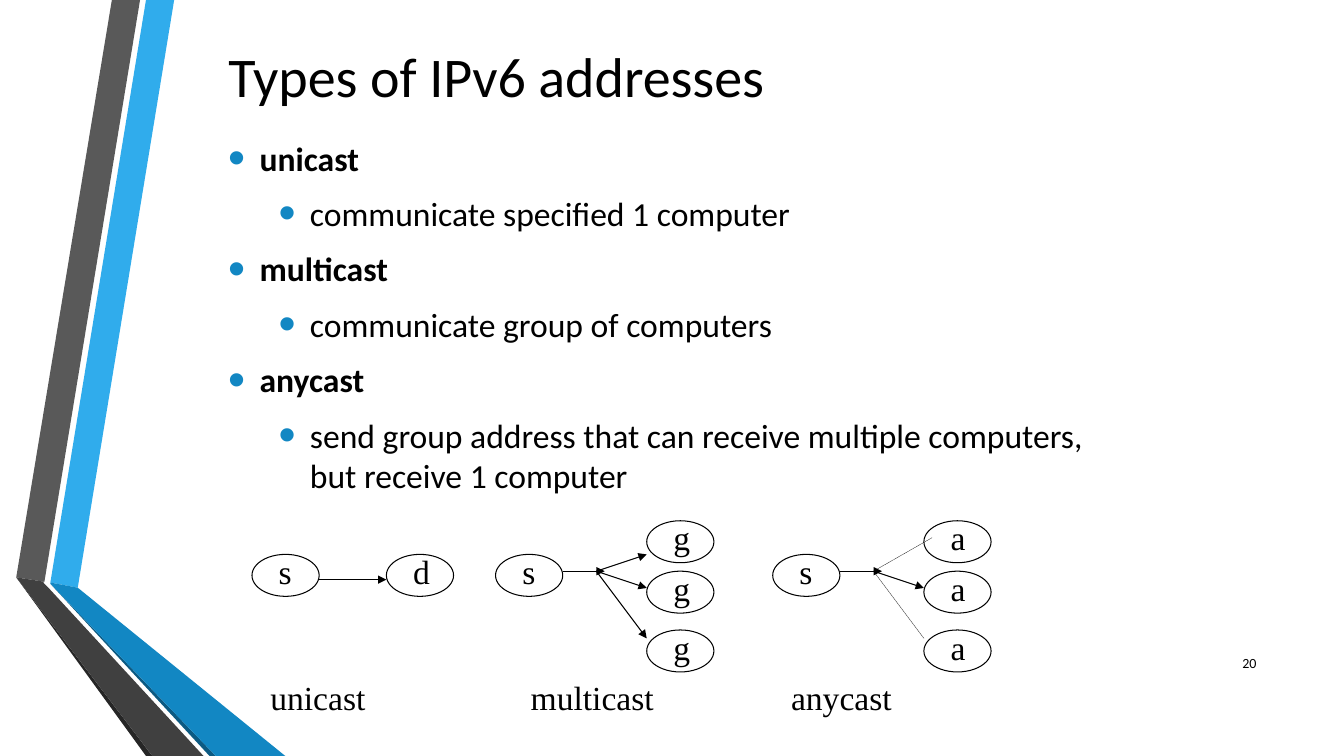
from lxml import etree
from pptx import Presentation
from pptx.dml.color import RGBColor
from pptx.enum.dml import MSO_LINE
from pptx.enum.shapes import MSO_CONNECTOR, MSO_SHAPE
from pptx.enum.text import MSO_ANCHOR, PP_ALIGN
from pptx.oxml.ns import qn
from pptx.util import Cm, Pt

OVAL = MSO_SHAPE.OVAL
STRAIGHT = MSO_CONNECTOR.STRAIGHT
DOTS = MSO_LINE.ROUND_DOT
TOP, MIDDLE = MSO_ANCHOR.TOP, MSO_ANCHOR.MIDDLE
LEFT = PP_ALIGN.LEFT

SANS, SERIF = "Calibri", "Times New Roman"
BLACK, BLUE = "000000", "1287C3"
UNIT = 2.54 / 12  # grid step in cm

# Folded ribbon on the left: colour and corners in cm
BANDS = [
    ("30ACEC", [(1.27, 14.68), (1.96, 14.81), (4.39, 0), (3.68, 0)]),
    ("595959", [(3.53, 0), (2.82, 0), (0.41, 14.55), (1.12, 14.66)]),
    ("262626", [(0.41, 14.55), (3.68, 19.05), (3.84, 19.05)]),
    ("0C5A82", [(1.27, 14.71), (5.28, 19.05), (5.44, 19.05)]),
    (BLUE, [(1.27, 14.71), (5.44, 19.05), (7.19, 19.05),
            (1.96, 14.81), (1.27, 14.68)]),
    ("404040", [(5.13, 19.05), (1.22, 14.81), (1.09, 14.68),
                (1.12, 14.66), (0.41, 14.55), (3.84, 19.05)]),
]

TYPES = [
    ("unicast", "communicate specified 1 computer"),
    ("multicast", "communicate group of computers"),
    ("anycast", "send group address that can receive multiple computers, "
                "but receive 1 computer"),
]

# Diagrams, in grid steps
NODES = [
    ("s", 30, 66), ("d", 46, 66),
    ("s", 59, 66), ("g", 77, 62), ("g", 77, 68), ("g", 77, 75),
    ("s", 92, 66), ("a", 110, 62), ("a", 110, 68), ("a", 110, 75),
]
ARROWS = [
    (38, 69, 46, 69),
    (67, 68, 72, 68), (71, 68, 77, 66), (71, 68, 77, 70), (71, 68, 77, 76),
    (100, 68, 105, 68), (104, 68, 110, 70),
]
UNUSED = [(104, 68, 111, 64), (110, 76, 104, 68)]
LABELS = [("unicast", 31), ("multicast", 62), ("anycast", 93)]


def color(code):
    return RGBColor.from_string(code)


def grid(*steps):
    return [Cm(step * UNIT) for step in steps]


def style(para, face, size, bold=False):
    font = para.font
    font.name, font.size, font.bold = face, Pt(size), bold
    font.color.rgb = color(BLACK)
    para.alignment = LEFT


def add_text(slide, text, box, face=SERIF, size=24):
    frame = slide.shapes.add_textbox(*box).text_frame
    frame.word_wrap = True
    frame.vertical_anchor = TOP
    para = frame.paragraphs[0]
    para.text = text
    style(para, face, size)


def add_band(slide, code, points):
    start, *rest = [(Cm(x), Cm(y)) for x, y in points]
    path = slide.shapes.build_freeform(*start)
    path.add_line_segments(rest, close=True)
    band = path.convert_to_shape()
    band.shadow.inherit = False
    band.fill.solid()
    band.fill.fore_color.rgb = color(code)
    band.line.fill.background()


def add_node(slide, name, x, y):
    node = slide.shapes.add_shape(OVAL, *grid(x, y, 8, 5))
    node.shadow.inherit = False
    node.fill.background()
    node.line.color.rgb = color(BLACK)
    node.line.width = Pt(0.75)
    add_text(slide, name, grid(x + 2, y - 1, 8, 6))


def add_link(slide, ends, used=True):
    link = slide.shapes.add_connector(STRAIGHT, *grid(*ends))
    line = link.line
    line.color.rgb = color(BLACK)
    line.width = Pt(0.75 if used else 0.25)
    if used:
        etree.SubElement(line._get_or_add_ln(), qn("a:tailEnd"), type="triangle")
    else:
        line.dash_style = DOTS
    etree.SubElement(link._element.spPr, qn("a:effectLst"))


def add_bullet(para, left):
    props = para._p.get_or_add_pPr()
    props.set("marL", str(Cm(left)))
    props.set("indent", str(Cm(-0.79)))
    tint = etree.SubElement(props, qn("a:buClr"))
    etree.SubElement(tint, qn("a:srgbClr"), val=BLUE)
    etree.SubElement(props, qn("a:buSzPct"), val="145000")
    etree.SubElement(props, qn("a:buFont"), typeface="Arial")
    etree.SubElement(props, qn("a:buChar"), char="•")


def add_list(slide, items, box):
    frame = slide.shapes.add_textbox(*box).text_frame
    frame.word_wrap = True
    frame.vertical_anchor = MIDDLE
    frame.margin_bottom = Cm(0.9)
    rows = [(text, level) for item in items for level, text in enumerate(item)]
    for pos, (text, level) in enumerate(rows):
        para = frame.add_paragraph() if pos else frame.paragraphs[0]
        para.text = text
        para.level = level
        para.space_before, para.space_after = Pt(4.8), Pt(6)
        add_bullet(para, 0.79 + 1.27 * level)
        style(para, SANS, 24, bold=level == 0)


def set_title(slide, text, box):
    title = slide.shapes.title
    title.left, title.top, title.width, title.height = box
    title.text_frame.vertical_anchor = MIDDLE
    para = title.text_frame.paragraphs[0]
    para.text = text
    style(para, SANS, 40)


def main():
    deck = Presentation()
    deck.slide_width, deck.slide_height = Cm(33.87), Cm(19.05)
    slide = deck.slides.add_slide(deck.slide_layouts[5])

    # Ribbon
    for code, points in BANDS:
        add_band(slide, code, points)

    # Title and list
    set_title(slide, "Types of IPv6 addresses", grid(26, 2, 108, 14))
    add_list(slide, TYPES, grid(26, 18, 108, 43))

    # Diagrams
    for node in NODES:
        add_node(slide, *node)
    for ends in ARROWS:
        add_link(slide, ends)
    for ends in UNUSED:
        add_link(slide, ends, used=False)
    for text, x in LABELS:
        add_text(slide, text, grid(x, 80, 22, 6))

    # Slide number
    add_text(slide, "20", (Cm(31.06), Cm(16.36), Cm(1.52), Cm(1.02)), SANS, 10)

    deck.save("out.pptx")


main()
